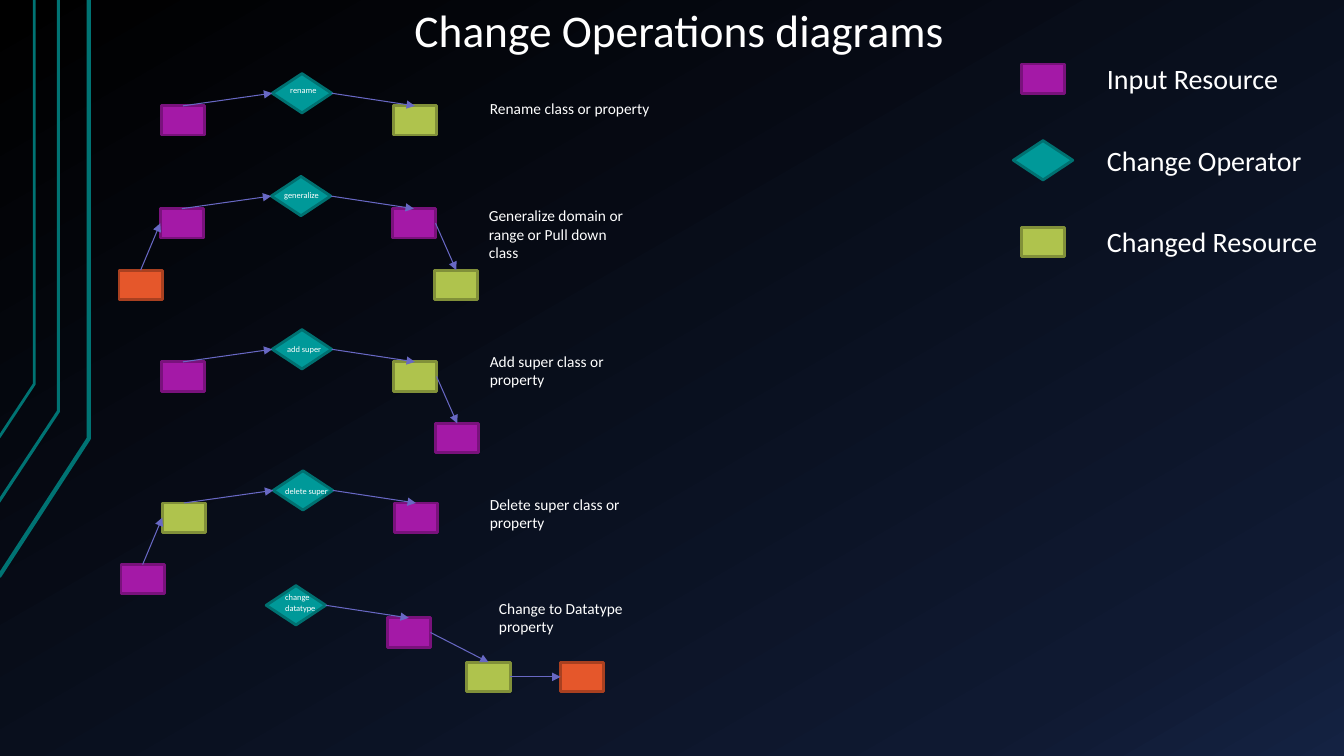
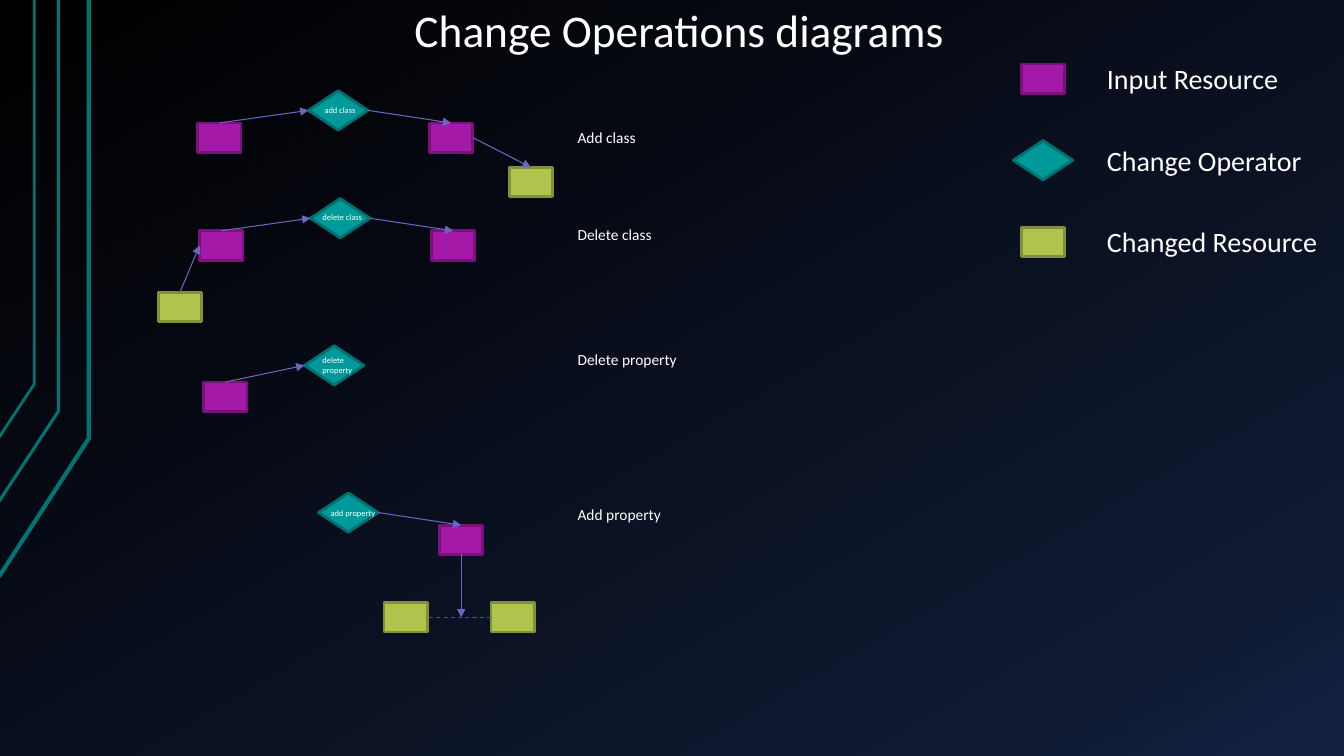
from copy import deepcopy
from dataclasses import dataclass

from pptx import Presentation
from pptx.dml.color import RGBColor
from pptx.enum.dml import MSO_LINE
from pptx.enum.shapes import MSO_CONNECTOR, MSO_SHAPE
from pptx.enum.text import MSO_ANCHOR, MSO_AUTO_SIZE, PP_ALIGN
from pptx.oxml.ns import qn
from pptx.oxml.xmlchemy import OxmlElement
from pptx.util import Inches, Pt

PROCESS = MSO_SHAPE.FLOWCHART_PROCESS
DECISION = MSO_SHAPE.FLOWCHART_DECISION
STRAIGHT = MSO_CONNECTOR.STRAIGHT
DASH = MSO_LINE.DASH
CENTER = PP_ALIGN.CENTER
BOTTOM = MSO_ANCHOR.BOTTOM
GROW = MSO_AUTO_SIZE.SHAPE_TO_FIT_TEXT
TOP_SIDE, LEFT_SIDE, BOTTOM_SIDE, RIGHT_SIDE = range(4)

FONT = "Calibri"
COLORS = {
    "text": "FFFFFF",
    "band": "007373",
    "arrow": "6868C4",
    "input": "A419A7",
    "input_edge": "79127C",
    "operator": "009999",
    "operator_edge": "007171",
    "changed": "AFC34D",
    "changed_edge": "819039",
    "other": "E5572B",
    "other_edge": "A94020",
}
BACKGROUND_STOPS = [(0, "000000"), (0.85, "0F1931"), (1, "142242")]
BANDS = [
    (3, [(-0.01, 5.72), (0.88, 4.35), (0.88, 0)]),
    (2.25, [(-0.02, 4.99), (0.58, 4.08), (0.58, 0)]),
    (2, [(-0.01, 4.34), (0.34, 3.81), (0.34, 0)]),
]
RESOURCE_SIZE = (0.43, 0.29)
OPERATOR_SIZE = (0.59, 0.39)
LEGEND = [
    ("input", "Input Resource"),
    ("operator", "Change Operator"),
    ("changed", "Changed Resource"),
]
LEGEND_PITCH = 0.81

SLOTS = {
    "left": (-1.1, 0.32),
    "near_left": (-1, 0.36),
    "right": (1.2, 0.32),
    "low_left": (-1.51, 0.93),
    "low_right": (1.62, 0.93),
    "next": (1.99, 0.76),
    "last": (2.92, 0.76),
    "pair_left": (0.65, 1.09),
    "pair_right": (1.71, 1.09),
}
ROUTES = [
    ("left", TOP_SIDE, "operator", LEFT_SIDE),
    ("near_left", TOP_SIDE, "operator", LEFT_SIDE),
    ("operator", RIGHT_SIDE, "right", TOP_SIDE),
    ("low_left", TOP_SIDE, "left", LEFT_SIDE),
    ("right", RIGHT_SIDE, "low_right", TOP_SIDE),
    ("right", RIGHT_SIDE, "next", TOP_SIDE),
    ("next", RIGHT_SIDE, "last", LEFT_SIDE),
]


@dataclass
class Diagram:
    """One change operation, placed by the corner of its operator."""

    corner: tuple
    operator: str
    label_offset: tuple
    caption: str
    caption_box: tuple
    resources: dict


RENAMING = [
    Diagram((2.7, 0.73), "rename", (0.08, 0.07),
            "Rename class or property", (4.76, 0.93, 1.86),
            {"left": "input", "right": "changed"}),
    Diagram((2.69, 1.75), "generalize", (0.03, 0.09),
            "Generalize domain or range or Pull down class", (4.75, 2, 1.67),
            {"left": "input", "right": "input",
             "low_left": "other", "low_right": "changed"}),
    Diagram((2.7, 3.27), "add super", (0.05, 0.09),
            "Add super class or property", (4.76, 3.44, 1.83),
            {"left": "input", "right": "changed", "low_right": "input"}),
    Diagram((2.71, 4.67), "delete super", (0.02, 0.1),
            "Delete super class or property", (4.76, 4.86, 1.86),
            {"left": "changed", "right": "input", "low_left": "input"}),
    Diagram((2.64, 5.81), "change datatype", (0.09, 0.02),
            "Change to Datatype property", (4.85, 5.89, 1.49),
            {"right": "input", "next": "changed", "last": "other"}),
]
ADDING = [
    Diagram((3.06, 0.9), "add class", (0.06, 0.09),
            "Add class", (5.63, 1.22, 1.49),
            {"left": "input", "right": "input", "next": "changed"}),
    Diagram((3.08, 1.97), "delete class", (0.02, 0.09),
            "Delete class", (5.63, 2.18, 1.49),
            {"left": "input", "right": "input", "low_left": "changed"}),
    Diagram((3.02, 3.43), "delete property", (0.08, 0.04),
            "Delete property", (5.63, 3.42, 1.49),
            {"near_left": "input"}),
    Diagram((3.16, 4.89), "add property", (0.02, 0.1),
            "Add property", (5.63, 4.96, 1.49),
            {"right": "input", "pair_left": "changed", "pair_right": "changed"}),
]


def rgb(name):
    """Look up a named colour."""
    return RGBColor.from_string(COLORS[name])


def paint_background(master):
    """Give the master its diagonal gradient."""
    fill = master.background.fill
    fill.gradient()
    fill.gradient_angle = 300
    stops = master.element.find(".//" + qn("a:gsLst"))
    stops.append(deepcopy(stops[-1]))
    for stop, (position, color) in zip(fill.gradient_stops, BACKGROUND_STOPS):
        stop.position = position
        stop.color.rgb = RGBColor.from_string(color)


def add_text(page, text, left, top, width, height, size):
    """Add a text box that wraps and return it."""
    box = page.shapes.add_textbox(*map(Inches, (left, top, width, height)))
    frame = box.text_frame
    frame.word_wrap = True
    frame.auto_size = GROW
    frame.text = text
    font = frame.paragraphs[0].runs[0].font
    font.name, font.size = FONT, Pt(size)
    font.color.rgb = rgb("text")
    return box


def add_node(page, kind, left, top):
    """Add a resource or an operator at the given corner."""
    is_operator = kind == "operator"
    width, height = OPERATOR_SIZE if is_operator else RESOURCE_SIZE
    node = page.shapes.add_shape(DECISION if is_operator else PROCESS,
                                 *map(Inches, (left, top, width, height)))
    node.shadow.inherit = False
    node.fill.solid()
    node.fill.fore_color.rgb = rgb(kind)
    node.line.color.rgb = rgb(kind + "_edge")
    node.line.width = Pt(2)
    return node


def add_link(page, start, start_side, end=None, end_side=None,
             color="arrow", dashed=False):
    """Join two nodes, with an arrowhead unless the link is dashed."""
    link = page.shapes.add_connector(STRAIGHT, 0, 0, 0, 0)
    link.begin_connect(start, start_side)
    if end is not None:
        link.end_connect(end, end_side)
    link.line.color.rgb = rgb(color)
    link.line.width = Pt(0.75)
    properties = link.element.spPr
    if dashed:
        link.line.dash_style = DASH
    else:
        head = OxmlElement("a:tailEnd")
        head.set("type", "triangle")
        properties.find(qn("a:ln")).append(head)
    properties.append(OxmlElement("a:effectLst"))
    return link


def draw_bands(page):
    """Draw the bent lines along the left edge."""
    for width, points in BANDS:
        start, *rest = [(Inches(x), Inches(y)) for x, y in points]
        builder = page.shapes.build_freeform(*start)
        builder.add_line_segments(rest, close=False)
        band = builder.convert_to_shape()
        band.shadow.inherit = False
        band.fill.background()
        band.line.color.rgb = rgb("band")
        band.line.width = Pt(width)


def draw_title(page, text):
    """Set the centred title at the top."""
    box = add_text(page, text, 1.07, 0.1, 11.33, 0.54, 32.4)
    frame = box.text_frame
    frame.auto_size = MSO_AUTO_SIZE.NONE
    frame.vertical_anchor = BOTTOM
    frame.margin_left = frame.margin_right = Inches(0.13)
    frame.margin_top = frame.margin_bottom = Inches(0.07)
    para = frame.paragraphs[0]
    para.alignment = CENTER
    para.line_spacing = 0.9


def draw_legend(page, left, top):
    """List the kinds of node beside their names."""
    text_height = 0.44
    for row, (kind, name) in enumerate(LEGEND):
        width, height = OPERATOR_SIZE if kind == "operator" else RESOURCE_SIZE
        row_top = top + row * LEGEND_PITCH
        add_node(page, kind, left + (OPERATOR_SIZE[0] - width) / 2,
                 row_top + (text_height - height) / 2)
        add_text(page, name, left + 0.83, row_top, 2.33, text_height, 20)


def draw_pair(page, nodes):
    """Dash a line between paired resources and point at it from above."""
    add_link(page, nodes["pair_right"], LEFT_SIDE, nodes["pair_left"],
             RIGHT_SIDE, color="input", dashed=True)
    pointer = add_link(page, nodes["right"], BOTTOM_SIDE)
    pointer.end_x = pointer.begin_x
    pointer.end_y = nodes["pair_left"].top + nodes["pair_left"].height // 2


def draw_diagram(page, diagram):
    """Draw one operation with its resources, links and caption."""
    left, top = diagram.corner
    nodes = {"operator": add_node(page, "operator", left, top)}
    for slot, kind in diagram.resources.items():
        across, down = SLOTS[slot]
        nodes[slot] = add_node(page, kind, left + across, top + down)
    for start, start_side, end, end_side in ROUTES:
        if start in nodes and end in nodes:
            add_link(page, nodes[start], start_side, nodes[end], end_side)
    if "pair_left" in nodes:
        draw_pair(page, nodes)
    across, down = diagram.label_offset
    add_text(page, diagram.operator, left + across, top + down, 0.71, 0.2, 6)
    add_text(page, diagram.caption, *diagram.caption_box, 0.29, 11)


def draw_page(deck, diagrams):
    """Add a slide with its bands, title, diagrams and legend."""
    page = deck.slides.add_slide(deck.slide_layouts[6])
    draw_bands(page)
    draw_title(page, "Change Operations diagrams")
    for diagram in diagrams:
        draw_diagram(page, diagram)
    draw_legend(page, 10.05, 0.56)


def main():
    """Build and save the deck."""
    deck = Presentation()
    deck.slide_width, deck.slide_height = Inches(13.33), Inches(7.5)
    paint_background(deck.slide_master)
    for diagrams in (RENAMING, ADDING):
        draw_page(deck, diagrams)
    deck.save("out.pptx")


if __name__ == "__main__":
    main()
